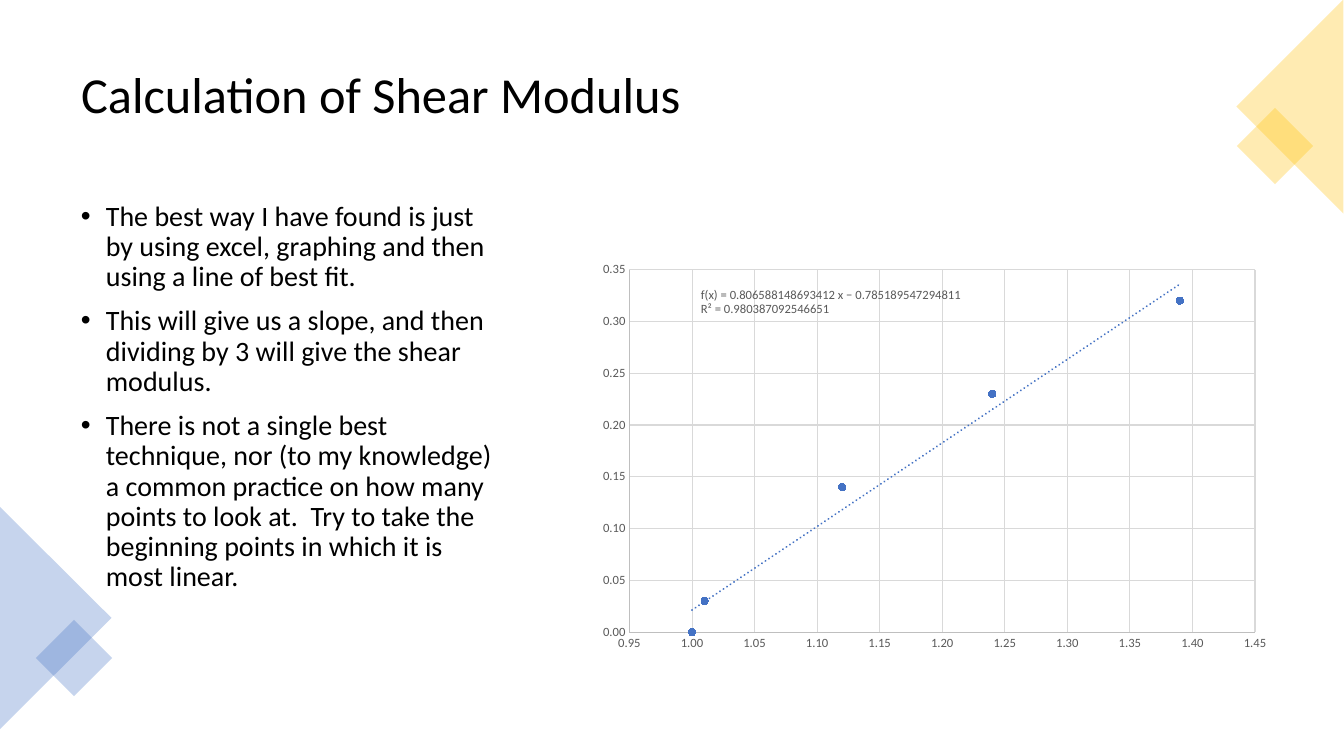
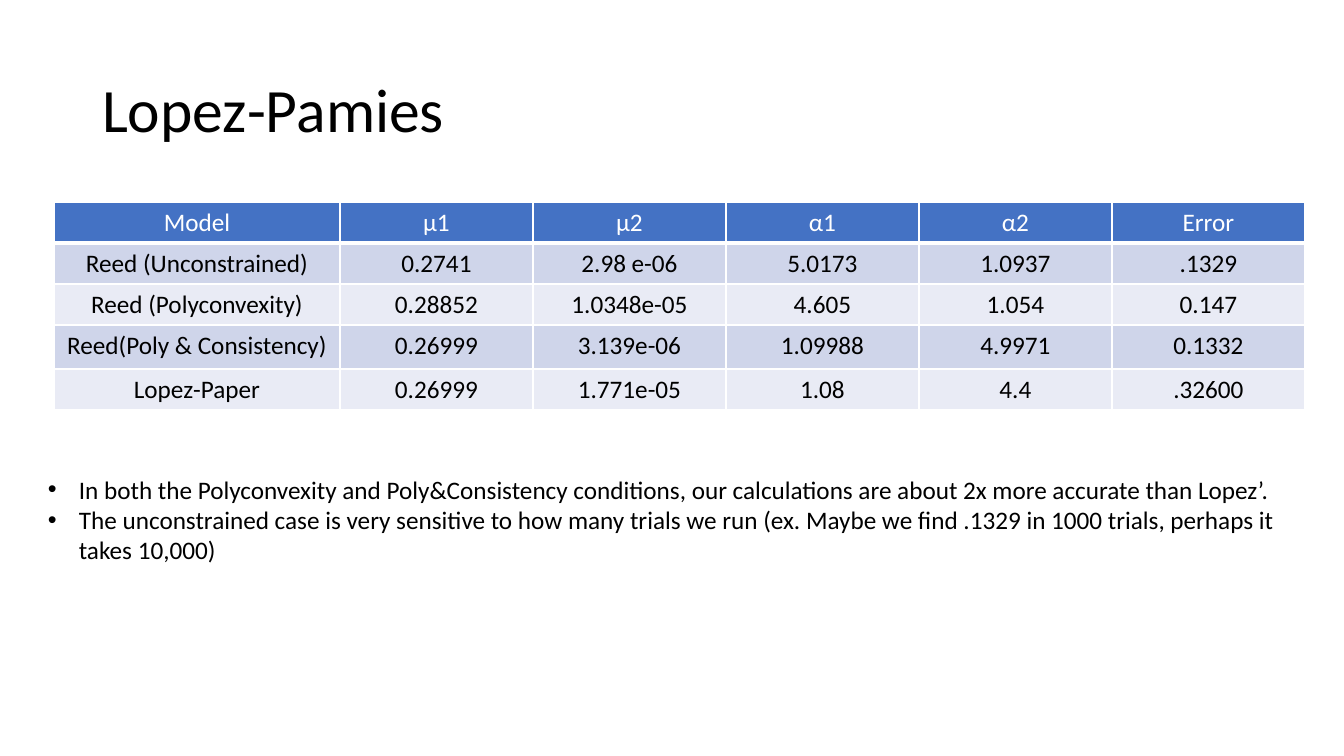
import dataclasses

import pptx
import pptx.chart.data
import pptx.dml.color
import pptx.enum.chart
import pptx.enum.dml
import pptx.enum.shapes
import pptx.enum.text
import pptx.oxml
import pptx.oxml.ns
import pptx.util

PX = 914400 / 100.8


@dataclasses.dataclass(frozen=True)
class Theme:
    font: str = "Calibri"
    ink: str = "000000"
    white: str = "FFFFFF"
    blue: str = "4472C4"
    gold: str = "FFC000"
    bands: tuple = ("E9EBF5", "CFD5EA")
    label: str = "595959"
    axis: str = "BFBFBF"
    grid: str = "D9D9D9"
    title_size: int = 44
    small_title_size: int = 36
    body_size: int = 20
    table_size: int = 18
    chart_size: int = 10
    axis_size: int = 9


theme = Theme()
rgb = pptx.dml.color.RGBColor.from_string
Align = pptx.enum.text.PP_ALIGN
Anchor = pptx.enum.text.MSO_ANCHOR
Preset = pptx.enum.shapes.MSO_SHAPE


def px(*lengths):
    return [round(length * PX) for length in lengths]


def write(frame, lines, size, color=theme.ink, indent=0, **paragraph_format):
    """Fill a text frame, one paragraph a line, bulleted when indent (px) is given."""
    frame.word_wrap = True
    frame.text = "\n".join(lines)
    for paragraph in frame.paragraphs:
        for name, value in paragraph_format.items():
            setattr(paragraph, name, value)
        for name, value in {"name": theme.font, "size": pptx.util.Pt(size), "bold": False}.items():
            setattr(paragraph.font, name, value)
        paragraph.font.color.rgb = rgb(color)
        if indent:
            properties = paragraph._p.get_or_add_pPr()
            hang = px(indent)[0]
            properties.set("marL", str(hang))
            properties.set("indent", str(-hang))
            for mark in ('<a:buFont typeface="Arial" {}/>', '<a:buChar char="•" {}/>'):
                properties.insert_element_before(
                    pptx.oxml.parse_xml(mark.format(pptx.oxml.ns.nsdecls("a"))), "a:defRPr", "a:extLst")


deck = pptx.Presentation()
deck.slide_width, deck.slide_height = px(1344, 756)

slides = []
for heading, size, box in (
    ("Calculation of Shear Modulus", theme.small_title_size, (71, 35, 1203, 125)),
    ("Lopez-Pamies", theme.title_size, (92, 40, 1159, 146)),
):
    slide = deck.slides.add_slide(deck.slide_layouts[5])
    title = slide.shapes.title
    title.left, title.top, title.width, title.height = px(*box)
    title.text_frame.vertical_anchor = Anchor.MIDDLE
    title.text_frame.auto_size = pptx.enum.text.MSO_AUTO_SIZE.NONE
    write(title.text_frame, [heading], size, alignment=Align.LEFT, line_spacing=0.9)
    slides.append(slide)
modulus_slide, results_slide = slides

# Shear modulus: advice, corner ornaments and fitted points
advice = modulus_slide.shapes.add_textbox(*px(71, 197, 442, 485))
write(advice.text_frame, [
    "The best way I have found is just by using excel, graphing and then using a line of best fit.",
    "This will give us a slope, and then dividing by 3 will give the shear modulus.",
    "There is not a single best technique, nor (to my knowledge) a common practice on how many "
    "points to look at.  Try to take the beginning points in which it is most linear.",
], theme.body_size, indent=25, line_spacing=0.9, space_before=pptx.util.Pt(10))

for color, pieces in (
    (theme.blue, ((Preset.ISOSCELES_TRIANGLE, 90, (-56, 562, 223, 112)),
                  (Preset.RECTANGLE, 45, (47, 631, 54, 54)))),
    (theme.gold, ((Preset.RECTANGLE, 45, (1248, 119, 54, 54)),
                  (Preset.ISOSCELES_TRIANGLE, 270, (1183, 53, 214, 107)))),
):
    ornament = modulus_slide.shapes.add_group_shape()
    for preset, rotation, box in pieces:
        piece = ornament.shapes.add_shape(preset, *px(*box))
        piece.rotation = rotation
        piece.shadow.inherit = False
        piece.line.fill.background()
        piece.fill.solid()
        piece.fill.fore_color.rgb = rgb(color)
        tint = piece.fill._xPr.find(".//" + pptx.oxml.ns.qn("a:srgbClr"))
        tint.append(pptx.oxml.parse_xml(f'<a:alpha {pptx.oxml.ns.nsdecls("a")} val="30000"/>'))

stretch_data = pptx.chart.data.XyChartData()
stretch_points = stretch_data.add_series("Series 1")
for x, y in ((1, 0), (1.01, 0.03), (1.12, 0.14), (1.24, 0.23), (1.39, 0.32)):
    stretch_points.add_data_point(x, y)
chart = modulus_slide.shapes.add_chart(
    pptx.enum.chart.XL_CHART_TYPE.XY_SCATTER, *px(584, 197, 689, 481), stretch_data).chart
chart.has_title = chart.has_legend = False
chart.font.name = theme.font
chart.font.size = pptx.util.Pt(theme.chart_size)
chart.font.color.rgb = rgb(theme.ink)

for axis, low, high in ((chart.category_axis, 0.95, 1.45), (chart.value_axis, 0, 0.35)):
    for name, value in {
        "minimum_scale": low, "maximum_scale": high, "major_unit": 0.05,
        "has_major_gridlines": True,
        "major_tick_mark": pptx.enum.chart.XL_TICK_MARK.NONE,
        "minor_tick_mark": pptx.enum.chart.XL_TICK_MARK.NONE,
    }.items():
        setattr(axis, name, value)
    axis.tick_labels.number_format = "0.00"
    axis.tick_labels.number_format_is_linked = False
    axis.tick_labels.font.name = theme.font
    axis.tick_labels.font.size = pptx.util.Pt(theme.axis_size)
    axis.tick_labels.font.color.rgb = rgb(theme.label)
    for line, color in ((axis.format.line, theme.axis), (axis.major_gridlines.format.line, theme.grid)):
        line.color.rgb = rgb(color)
        line.width = pptx.util.Pt(0.75)

series = chart.plots[0].series[0]
series.format.line.fill.background()
series.smooth = False
series.marker.style = pptx.enum.chart.XL_MARKER_STYLE.CIRCLE
series.marker.size = 5
series.marker.format.fill.solid()
series.marker.format.fill.fore_color.rgb = rgb(theme.blue)
series.marker.format.line.color.rgb = rgb(theme.blue)

chart_names = pptx.oxml.ns.nsdecls("c", "a")
best_fit = pptx.oxml.parse_xml(f"""
<c:trendline {chart_names}>
  <c:spPr><a:ln w="19050" cap="rnd"><a:solidFill><a:srgbClr val="{theme.blue}"/></a:solidFill>
    <a:prstDash val="sysDot"/></a:ln></c:spPr>
  <c:trendlineType val="linear"/><c:dispRSqr val="0"/><c:dispEq val="0"/>
</c:trendline>""")
series._element.find(pptx.oxml.ns.qn("c:xVal")).addprevious(best_fit)

plot_area = chart._chartSpace.chart.plotArea
for old_layout in plot_area.findall(pptx.oxml.ns.qn("c:layout")):
    plot_area.remove(old_layout)
plot_area.insert(0, pptx.oxml.parse_xml(f"""
<c:layout {chart_names}><c:manualLayout><c:layoutTarget val="inner"/>
  <c:xMode val="edge"/><c:yMode val="edge"/>
  <c:x val="0.066"/><c:y val="0.151"/><c:w val="0.908"/><c:h val="0.754"/>
</c:manualLayout></c:layout>"""))

fit_formula = modulus_slide.shapes.add_textbox(*px(691, 284, 300, 38))
write(fit_formula.text_frame, [
    "f(x) = 0.806588148693412 x − 0.785189547294811",
    "R² = 0.980387092546651",
], theme.axis_size, theme.label, line_spacing=0.9)

# Lopez-Pamies: fitted parameters and remarks
results = (
    ("Model", "μ1", "μ2", "α1", "α2", "Error"),
    ("Reed (Unconstrained)", "0.2741", "2.98 e-06", "5.0173", "1.0937", ".1329"),
    ("Reed (Polyconvexity)", "0.28852", "1.0348e-05", "4.605", "1.054", "0.147"),
    ("Reed(Poly & Consistency)", "0.26999", "3.139e-06", "1.09988", "4.9971", "0.1332"),
    ("Lopez-Paper", "0.26999", "1.771e-05", "1.08", "4.4", ".32600"),
)
column_widths = [286] + [193] * 5
row_heights = [41, 41, 41, 44, 41]
table = results_slide.shapes.add_table(
    len(results), len(column_widths),
    *px(54, 202, sum(column_widths), sum(row_heights))).table
for column, width in zip(table.columns, px(*column_widths)):
    column.width = width
for row, height in zip(table.rows, px(*row_heights)):
    row.height = height

for r, values in enumerate(results):
    fill, ink = (theme.bands[r % 2], theme.ink) if r else (theme.blue, theme.white)
    border_widths = {"L": 1, "R": 1, "T": 3 if r == 1 else 1, "B": 3 if r == 0 else 1}
    for c, value in enumerate(values):
        cell = table.cell(r, c)
        write(cell.text_frame, [value], theme.table_size, ink, alignment=Align.CENTER)
        for side, points in border_widths.items():
            cell._tc.get_or_add_tcPr().append(pptx.oxml.parse_xml(
                f'<a:ln{side} {pptx.oxml.ns.nsdecls("a")} w="{int(pptx.util.Pt(points))}"><a:solidFill>'
                f'<a:srgbClr val="{theme.white}"/></a:solidFill></a:ln{side}>'))
        cell.fill.solid()
        cell.fill.fore_color.rgb = rgb(fill)

remarks = results_slide.shapes.add_textbox(*px(38, 469, 1268, 102))
write(remarks.text_frame, [
    "In both the Polyconvexity and Poly&Consistency conditions, our calculations are about "
    "2x more accurate than Lopez’.",
    "The unconstrained case is very sensitive to how many trials we run (ex. Maybe we find "
    ".1329 in 1000 trials, perhaps it takes 10,000)",
], theme.table_size, indent=31)

deck.save("out.pptx")
